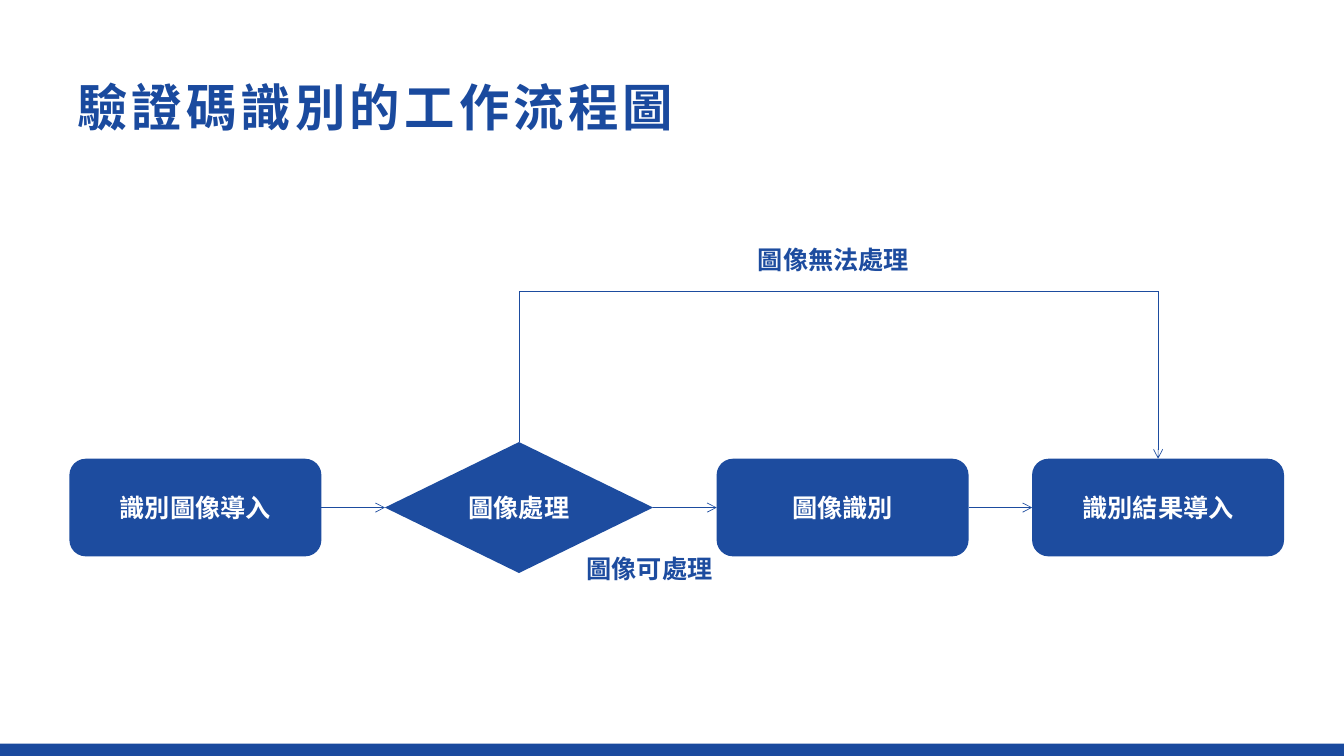
from lxml.etree import SubElement
from pptx import Presentation
from pptx.dml.color import RGBColor
from pptx.enum.shapes import MSO_CONNECTOR as LINK, MSO_SHAPE as FORM
from pptx.enum.text import MSO_ANCHOR, PP_ALIGN
from pptx.oxml.ns import qn
from pptx.util import Cm, Pt


def color(code):
    return RGBColor.from_string(code)


class Flow:
    """Draws flow chart parts in one style; lengths are in cm."""
    blue, dark, white = "1D4C9F", "1A4A9E", "FFFFFF"

    def __init__(self, slide):
        self.slide = slide

    def fill_text(self, frame, text, tint, size=18, font="Arial"):
        frame.word_wrap = True
        frame.vertical_anchor = MSO_ANCHOR.MIDDLE
        line = frame.paragraphs[0]
        line.text = text
        line.font.size, line.font.bold, line.font.name = Pt(size), True, font
        line.font.color.rgb = color(tint)
        return line

    def label(self, text, x, y, w, h):
        box = self.slide.shapes.add_textbox(Cm(x), Cm(y), Cm(w), Cm(h))
        self.fill_text(box.text_frame, text, self.blue)

    def title(self, text, x, y, w, h):
        box = self.slide.shapes.add_textbox(Cm(x), Cm(y), Cm(w), Cm(h))
        face = "Noto Sans CJK SC"
        line = self.fill_text(box.text_frame, text, self.dark, 36, face)
        # Letter spacing and East Asian face
        props = line.runs[0].font._element
        props.set("spc", "300")
        SubElement(props, qn("a:ea")).set("typeface", face)

    def shape(self, form, x, y, w, h, fill, text=""):
        item = self.slide.shapes.add_shape(form, Cm(x), Cm(y), Cm(w), Cm(h))
        item.shadow.inherit = False
        item.fill.solid()
        item.fill.fore_color.rgb = color(fill)
        item.line.fill.background()
        if text:
            line = self.fill_text(item.text_frame, text, self.white)
            line.alignment = PP_ALIGN.CENTER

    def link(self, x1, y1, x2, y2, bent=False):
        kind = LINK.ELBOW if bent else LINK.STRAIGHT
        item = self.slide.shapes.add_connector(
            kind, Cm(x1), Cm(y1), Cm(x2), Cm(y2))
        item.line.color.rgb = color(self.blue)
        item.line.width = Pt(0.5)
        props = item._element.spPr
        if bent:  # a single corner
            props.find(qn("a:prstGeom")).set("prst", "bentConnector2")
        else:
            tail = SubElement(props.find(qn("a:ln")), qn("a:tailEnd"))
            tail.set("type", "arrow")
        SubElement(props, qn("a:effectLst"))


def main():
    deck = Presentation()
    deck.slide_width, deck.slide_height = Cm(33.87), Cm(19.05)
    flow = Flow(deck.slides.add_slide(deck.slide_layouts[6]))

    # Footer bar and title
    flow.shape(FORM.RECTANGLE, 0, 18.74, 33.87, 0.31, flow.dark)
    flow.title("驗證碼識別的工作流程圖", 1.7, 1.7, 30.48, 1.96)

    # Steps in a row, joined by arrows
    step = (FORM.FLOWCHART_ALTERNATE_PROCESS, 6.35, 2.46)
    test = (FORM.FLOWCHART_DECISION, 6.76, 3.3)
    row = [("識別圖像導入", step), ("圖像處理", test),
           ("圖像識別", step), ("識別結果導入", step)]
    left, mid, gap = 1.75, 12.79, 1.6
    spots = []
    for text, (form, w, h) in row:
        if spots:
            flow.link(left - gap, mid, left, mid)
        flow.shape(form, left, mid - h / 2, w, h, flow.blue, text)
        spots.append((left + w / 2, mid - h / 2))
        left += w + gap

    # Bypass from the decision to the last step
    (x1, y1), (x2, y2) = spots[1], spots[-1]
    top = 7.34
    flow.link(x2, top, x1, y1, bent=True)
    flow.link(x2, top, x2, y2)

    # Branch labels
    flow.label("圖像無法處理", 18.85, 6.02, 4.75, 1.02)
    flow.label("圖像可處理", 14.53, 13.82, 3.73, 1.02)

    deck.save("out.pptx")


if __name__ == "__main__":
    main()
